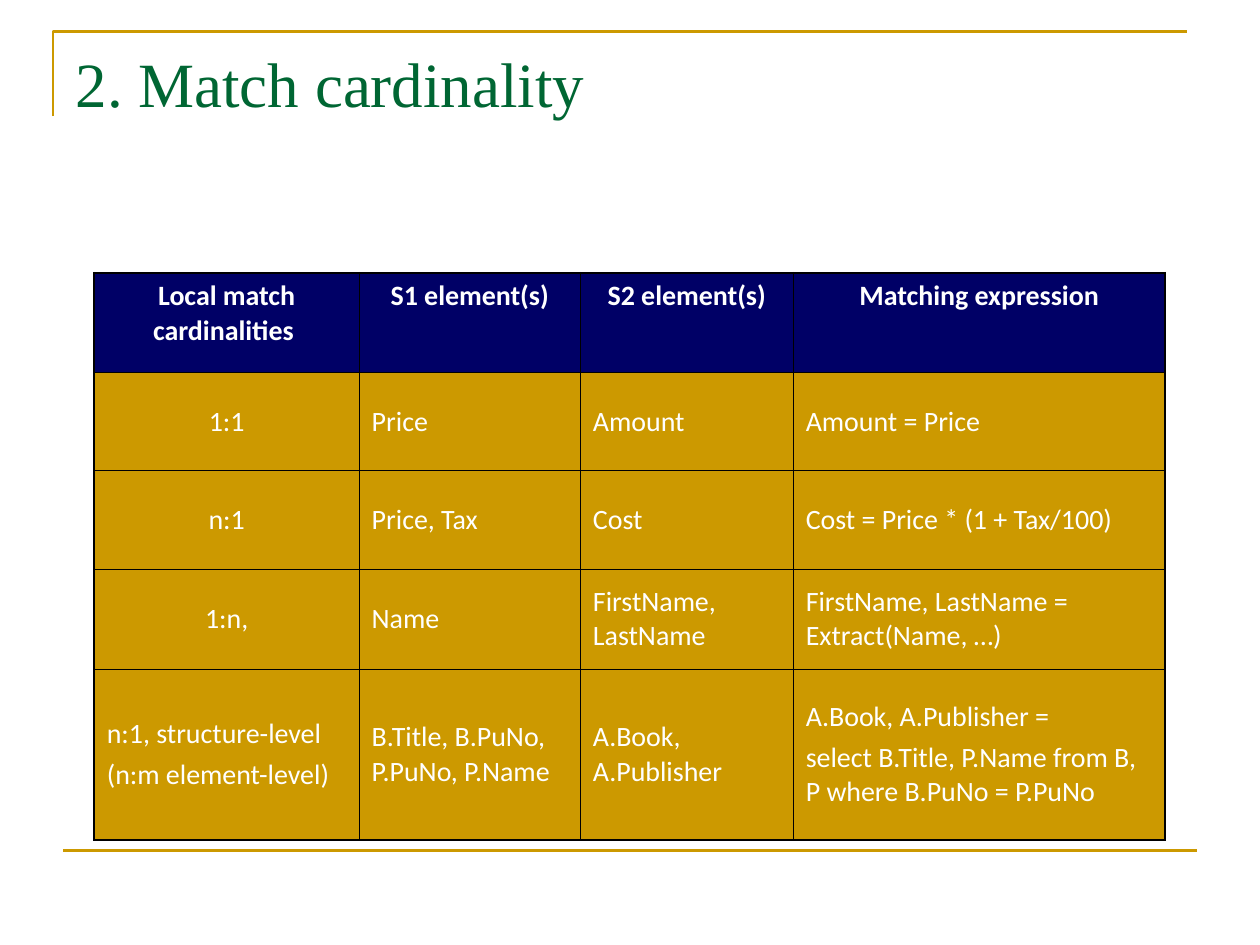
import lxml.etree
import pptx
import pptx.dml.color
import pptx.enum.text
import pptx.oxml.ns
import pptx.util

Cm = pptx.util.Cm
Pt = pptx.util.Pt
Align = pptx.enum.text.PP_ALIGN
Anchor = pptx.enum.text.MSO_ANCHOR
qn = pptx.oxml.ns.qn

# Content: a newline starts a new paragraph in a cell
TITLE = "2. Match cardinality"
HEADER = ["Local match cardinalities ", "S1 element(s)", "S2 element(s)", "Matching expression"]
MATCHES = [
    ["1:1", "Price", "Amount", "Amount = Price"],
    ["n:1", "Price, Tax", "Cost", "Cost = Price * (1 + Tax/100)"],
    ["1:n,", "Name", "FirstName, LastName", "FirstName, LastName = Extract(Name, …)"],
    ["n:1, structure-level\n(n:m element-level)", "B.Title, B.PuNo, P.PuNo, P.Name",
     "A.Book, A.Publisher",
     "A.Book, A.Publisher =\nselect B.Title, P.Name from B, P where B.PuNo = P.PuNo"],
]

COLORS = {"gold": "CC9900", "navy": "000066", "green": "006633",
          "white": "FFFFFF", "black": "000000"}
COLUMN_WIDTHS = [5.34, 4.46, 4.29, 7.5]
ROW_HEIGHTS = [2.01, 1.98, 1.99, 2.01, 3.44]
TABLE_LEFT, TABLE_TOP = 1.9, 5.5
OUTER_BORDER, INNER_BORDER = 1.08, 0.45


def rgb(name):
    return pptx.dml.color.RGBColor.from_string(COLORS[name])


def style_runs(paragraph, font, size, color, bold=False):
    for run in paragraph.runs:
        run.font.name = font
        run.font.size = Pt(size)
        run.font.bold = bold
        run.font.color.rgb = rgb(color)


def style_rule(shape):
    shape.line.color.rgb = rgb("gold")
    shape.line.width = Pt(1.5)


def add_borders(cell, outer_edges):
    properties = cell._tc.get_or_add_tcPr()
    for edge, is_outer in outer_edges.items():
        width = Pt(OUTER_BORDER if is_outer else INNER_BORDER)
        line = lxml.etree.SubElement(properties, qn(f"a:ln{edge}"), w=str(width))
        fill = lxml.etree.SubElement(line, qn("a:solidFill"))
        lxml.etree.SubElement(fill, qn("a:srgbClr"), val=COLORS["black"])


presentation = pptx.Presentation()
presentation.slide_width = Cm(25.4)
presentation.slide_height = Cm(19.05)
slide = presentation.slides.add_slide(presentation.slide_layouts[5])

# Corner rule around the title
builder = slide.shapes.build_freeform(Cm(1.07), Cm(2.34))
builder.add_line_segments([(Cm(1.07), Cm(0.64)), (Cm(23.93), Cm(0.64))], close=False)
corner = builder.convert_to_shape()
corner.shadow.inherit = False
corner.fill.background()
style_rule(corner)

# Footer rule
footer = slide.shapes.add_connector(
    pptx.enum.shapes.MSO_CONNECTOR.STRAIGHT, Cm(1.27), Cm(17.15), Cm(24.13), Cm(17.15))
style_rule(footer)
lxml.etree.SubElement(footer._element.spPr, qn("a:effectLst"))

# Title
title = slide.shapes.title
title.left, title.top, title.width, title.height = Cm(1.27), Cm(0.76), Cm(22.86), Cm(3.18)
title.text_frame.text = TITLE
title.text_frame.vertical_anchor = Anchor.TOP
title_paragraph = title.text_frame.paragraphs[0]
title_paragraph.alignment = Align.LEFT
style_runs(title_paragraph, "Times New Roman", 36, "green")

# Table
rows = [HEADER] + MATCHES
last_row, last_column = len(rows) - 1, len(HEADER) - 1
table = slide.shapes.add_table(
    len(rows), len(HEADER), Cm(TABLE_LEFT), Cm(TABLE_TOP),
    Cm(sum(COLUMN_WIDTHS)), Cm(sum(ROW_HEIGHTS))).table
for column, width in zip(table.columns, COLUMN_WIDTHS):
    column.width = Cm(width)
for row, height in zip(table.rows, ROW_HEIGHTS):
    row.height = Cm(height)

for row_index, texts in enumerate(rows):
    is_header = row_index == 0
    for column_index, text in enumerate(texts):
        cell = table.cell(row_index, column_index)
        add_borders(cell, {"L": column_index == 0, "R": column_index == last_column,
                           "T": is_header, "B": row_index == last_row})
        cell.fill.solid()
        cell.fill.fore_color.rgb = rgb("navy" if is_header else "gold")
        cell.vertical_anchor = Anchor.TOP if is_header else Anchor.MIDDLE
        cell.text_frame.text = text
        centered = is_header or (column_index == 0 and row_index < last_row)
        for paragraph in cell.text_frame.paragraphs:
            paragraph.alignment = Align.CENTER if centered else Align.LEFT
            paragraph.space_before = Pt(4)
            style_runs(paragraph, "Calibri", 16, "white", is_header)

presentation.save("out.pptx")
